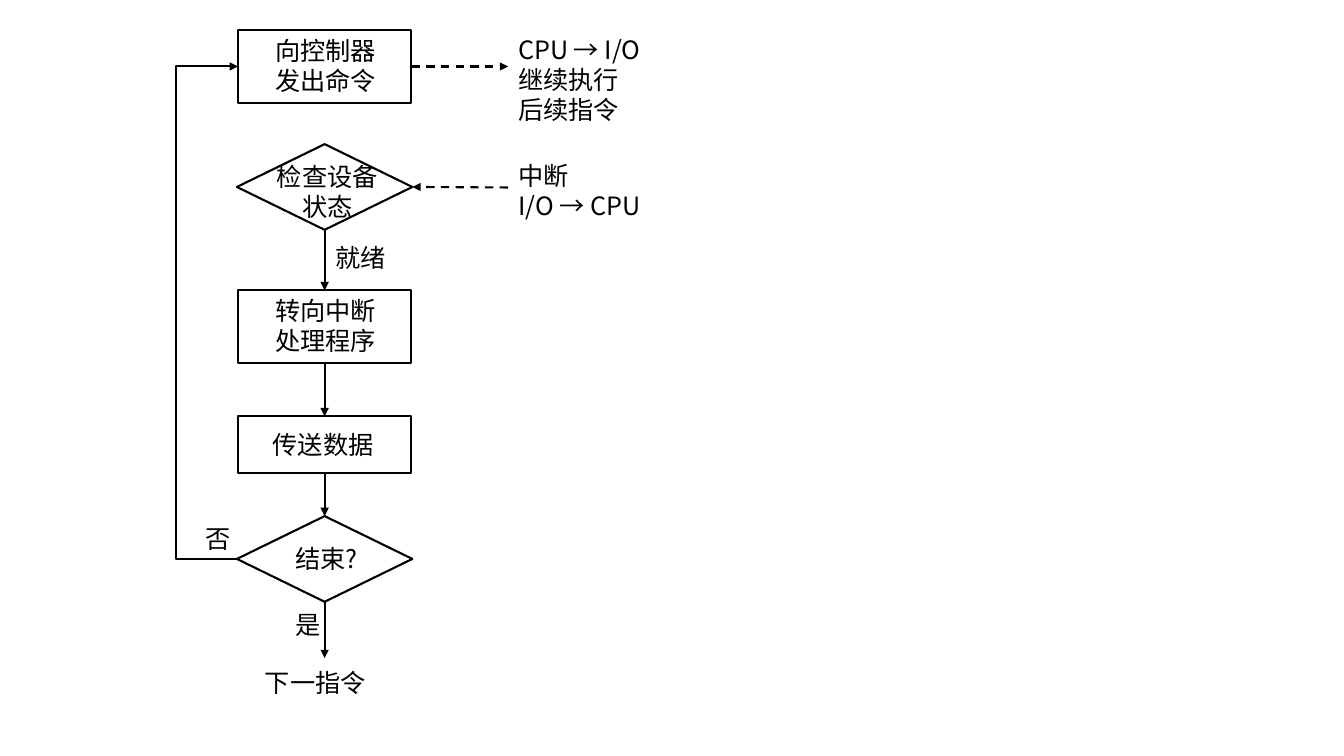
"""Flowchart of interrupt-driven input and output."""
from lxml import etree
from pptx import Presentation
from pptx.dml.color import RGBColor
from pptx.enum import dml, shapes, text
from pptx.oxml.ns import qn
from pptx.util import Inches, Pt

BLACK = RGBColor(0, 0, 0)
FONT = "Noto Sans CJK SC"
SIZE = (13.33, 7.5)
AXIS = 3.22
WIDTHS = {"PROCESS": 1.72, "DECISION": 1.74}
NODES = {
    "command": ("PROCESS", 0.3, 0.72),
    "check": ("DECISION", 1.43, 0.85),
    "handler": ("PROCESS", 2.88, 0.72),
    "transfer": ("PROCESS", 4.13, 0.56),
    "done": ("DECISION", 5.12, 0.85),
}
FLOWS = [("check", "handler"), ("handler", "transfer"), ("transfer", "done")]
EXIT_Y, SIDE_X, LOOP_X = 6.53, 5.04, 1.74
LEFT, CENTER = text.PP_ALIGN.LEFT, text.PP_ALIGN.CENTER
TEXTS = [
    (["向控制器", "发出命令"], 2.63, 0.3, 1.21, LEFT, False),
    (["检查设备", "状态"], 2.64, 1.55, 1.21, CENTER, False),
    (["转向中断", "处理程序"], 2.63, 2.88, 1.21, LEFT, False),
    (["传送数据"], 2.6, 4.21, 1.21, CENTER, False),
    (["结束?"], 2.83, 5.34, 0.82, CENTER, False),
    (["就绪"], 3.23, 2.36, 1.05, LEFT, True),
    (["是"], 2.83, 6, 0.36, LEFT, True),
    (["否"], 1.94, 5.14, 0.36, LEFT, True),
    (["CPU → I/O", "继续执行", "后续指令"], SIDE_X, 0.29, 1.53, LEFT, True),
    (["中断", "I/O → CPU"], SIDE_X, 1.54, 1.53, LEFT, True),
    (["下一指令"], 2.53, 6.57, 1.43, LEFT, True),
]


def add_node(s, kind, top, height):
    width = WIDTHS[kind]
    preset = shapes.MSO_SHAPE["FLOWCHART_" + kind]
    sp = s.shapes.add_shape(preset, Inches(AXIS - width / 2), Inches(top),
                            Inches(width), Inches(height))
    sp.shadow.inherit = False
    sp.fill.background()
    sp.line.color.rgb = BLACK
    sp.line.width = Pt(1.5)
    return sp


def add_arrow(s, start=None, end=None, begin=(0, 0), finish=(0, 0), dashed=False, kind="STRAIGHT"):
    points = [Inches(v) for v in (*begin, *finish)]
    cx = s.shapes.add_connector(shapes.MSO_CONNECTOR[kind], *points)
    if start:
        cx.begin_connect(*start)
    if end:
        cx.end_connect(*end)
    cx.line.color.rgb = BLACK
    cx.line.width = Pt(1.5)
    if dashed:
        cx.line.dash_style = dml.MSO_LINE.DASH
    etree.SubElement(cx.line._get_or_add_ln(), qn("a:tailEnd"), type="triangle")
    etree.SubElement(cx._element.spPr, qn("a:effectLst"))
    return cx


def add_text(s, lines, left, top, width, align, wrap):
    height = 0.1 + 0.3 * len(lines)
    box = s.shapes.add_textbox(*[Inches(v) for v in (left, top, width, height)])
    tf = box.text_frame
    tf.word_wrap = wrap
    tf.auto_size = text.MSO_AUTO_SIZE.SHAPE_TO_FIT_TEXT
    tf.text = "\n".join(lines)
    for p in tf.paragraphs:
        p.alignment = align
        p.font.name = FONT
        p.font.size = Pt(18)
        p.font.color.rgb = BLACK
        etree.SubElement(p.font._element, qn("a:ea"), typeface=FONT)


def main():
    prs = Presentation()
    prs.slide_width, prs.slide_height = map(Inches, SIZE)
    s = prs.slides.add_slide(prs.slide_layouts[6])
    nodes = {name: add_node(s, *node) for name, node in NODES.items()}
    for source, target in FLOWS:
        add_arrow(s, (nodes[source], 2), (nodes[target], 0))
    add_arrow(s, start=(nodes["done"], 2), finish=(AXIS, EXIT_Y))
    add_arrow(s, start=(nodes["command"], 3), finish=(SIDE_X, 0.66), dashed=True)
    add_arrow(s, end=(nodes["check"], 3), begin=(SIDE_X, 1.86), dashed=True)

    done, command = nodes["done"], nodes["command"]
    loop = add_arrow(s, (done, 1), (command, 1), kind="ELBOW")
    bend = (Inches(LOOP_X) - done.left) / (command.left - done.left)
    guides = loop._element.spPr.find(qn("a:prstGeom")).get_or_add_avLst()
    etree.SubElement(guides, qn("a:gd"), name="adj1", fmla=f"val {round(bend * 100000)}")

    for label in TEXTS:
        add_text(s, *label)
    prs.save("out.pptx")


if __name__ == "__main__":
    main()
